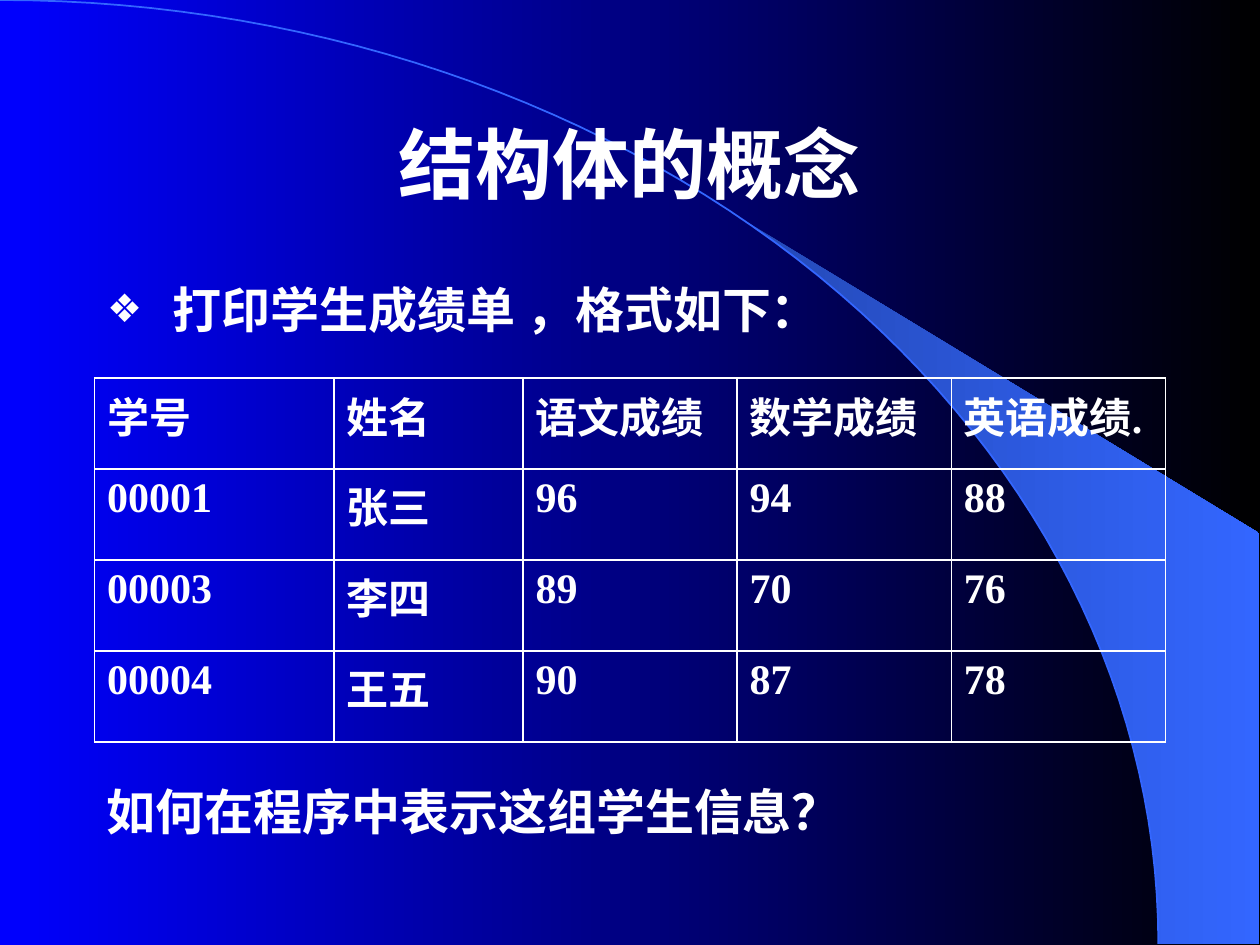
from math import asin, cos, pi, sin

from lxml.etree import SubElement
from pptx import Presentation
from pptx.dml.color import RGBColor
from pptx.enum.text import MSO_ANCHOR as Anchor, MSO_AUTO_SIZE as AutoSize, PP_ALIGN as Align
from pptx.oxml import parse_xml
from pptx.oxml.ns import nsdecls, qn
from pptx.util import Pt

COLORS = {"text": "FFFFFF", "blue": "0000FF", "black": "000000",
          "glow": "3366FF", "dusk": "2449B6"}
SCORES = [
    ["学号", "姓名", "语文成绩", "数学成绩", "英语成绩."],
    ["00001", "张三", "96", "94", "88"],
    ["00003", "李四", "89", "70", "76"],
    ["00004", "王五", "90", "87", "78"],
]
COLUMN_WIDTHS = [136.8, 108, 122.4, 122.4, 122.4]


def color(name):
    """Return the named colour."""
    return RGBColor.from_string(COLORS[name])


def write(frame, text, size=28, font="Arial", align=Align.LEFT, anchor=Anchor.TOP, before=0):
    """Write one bold paragraph into a text frame and return it."""
    frame.word_wrap = True
    frame.vertical_anchor = anchor
    para = frame.paragraphs[0]
    para.alignment = align
    para.space_before = Pt(before)
    span = para.add_run()
    span.text = text
    span.font.size, span.font.name, span.font.bold = Pt(size), font, True
    span.font.color.rgb = color("text")
    return para


def place(shape, box):
    """Move a shape to a box of left, top, width and height."""
    shape.left, shape.top, shape.width, shape.height = map(Pt, box)


def shade(fill, start, end):
    """Give a fill a gradient from left to right."""
    fill.gradient()
    fill.gradient_angle = 0
    for stop, name in zip(fill.gradient_stops, (start, end)):
        stop.color.rgb = color(name)


def arc_points(box, start, steps=60):
    """Return points of a quarter ellipse, from an angle to its right end."""
    left, top, width, height = box
    angles = [start + (pi / 2 - start) * step / steps for step in range(steps + 1)]
    return [(left + width * sin(angle), top + height * (1 - cos(angle))) for angle in angles]


def add_outline(page, points, close):
    """Add a freeform behind everything else on the page."""
    (first_x, first_y), *others = [(Pt(x), Pt(y)) for x, y in points]
    builder = page.shapes.build_freeform(first_x, first_y)
    builder.add_line_segments(others, close=close)
    shape = builder.convert_to_shape()
    shape.shadow.inherit = False
    page.shapes.element.insert(2, shape.element)
    return shape


def add_backdrop(page, box):
    """Draw the background with its arc and the glowing crescent beside it."""
    left, top, width, height = box
    shade(page.background.fill, "blue", "black")
    arc_box = (left, top, width * 0.92, height)

    arc = add_outline(page, arc_points(arc_box, 0), close=False)
    arc.fill.background()
    arc.line.color.rgb = color("glow")
    arc.line.width = Pt(1)

    right, bottom = left + width, top + height
    tip = asin(0.64)
    corners = [(right, bottom), (right, top + height * 0.565)]
    crescent = add_outline(page, arc_points(arc_box, tip) + corners, close=True)
    shade(crescent.fill, "dusk", "glow")
    crescent.line.fill.background()


def add_title(page, box):
    """Fill the title placeholder."""
    title = page.shapes.title
    place(title, box)
    write(title.text_frame, "结构体的概念", size=44, align=Align.CENTER, anchor=Anchor.MIDDLE)


def add_lead(page, box):
    """Fill the body placeholder with one bulleted line."""
    body = page.placeholders[1]
    place(body, box)
    para = write(body.text_frame, "打印学生成绩单 ，格式如下：", font="Times New Roman", before=5.6)
    props = para._p.get_or_add_pPr()
    props.set("marL", str(Pt(37.5)))
    props.set("indent", str(Pt(-37.5)))
    bullet_color = SubElement(props, qn("a:buClr"))
    SubElement(bullet_color, qn("a:srgbClr"), val=COLORS["text"])
    SubElement(props, qn("a:buSzPct"), val="80000")
    SubElement(props, qn("a:buFont"), typeface="Arial")
    SubElement(props, qn("a:buChar"), char="❖")


def set_borders(cell):
    """Draw a thin line on each side of a cell."""
    props = cell._tc.get_or_add_tcPr()
    for side in ("lnL", "lnR", "lnT", "lnB"):
        props.append(parse_xml(
            f'<a:{side} {nsdecls("a")} w="{Pt(1)}"><a:solidFill>'
            f'<a:srgbClr val="{COLORS["text"]}"/></a:solidFill></a:{side}>'))


def add_scores(page, box):
    """Add the table of student scores."""
    frame = page.shapes.add_table(len(SCORES), len(COLUMN_WIDTHS), *map(Pt, box))
    table = frame.table
    table.first_row = table.horz_banding = False
    for column, width in zip(table.columns, COLUMN_WIDTHS):
        column.width = Pt(width)
    for row, values in zip(table.rows, SCORES):
        for cell, value in zip(row.cells, values):
            write(cell.text_frame, value, size=24, font="Times New Roman")
            set_borders(cell)
            cell.fill.background()


def add_question(page, box):
    """Add the closing question."""
    frame = page.shapes.add_textbox(*map(Pt, box)).text_frame
    write(frame, "如何在程序中表示这组学生信息？", before=14)
    frame.auto_size = AutoSize.SHAPE_TO_FIT_TEXT


def main():
    """Build the slide and save it."""
    deck = Presentation()
    deck.slide_width, deck.slide_height = Pt(720), Pt(540)
    page = deck.slides.add_slide(deck.slide_layouts[1])
    add_backdrop(page, (0, 0, 719.5, 539.3))
    add_title(page, (54, 48, 612, 90))
    add_lead(page, (54, 156, 612, 60))
    add_scores(page, (54, 216, 612, 208))
    add_question(page, (54, 443, 589, 41))
    deck.save("out.pptx")


if __name__ == "__main__":
    main()
